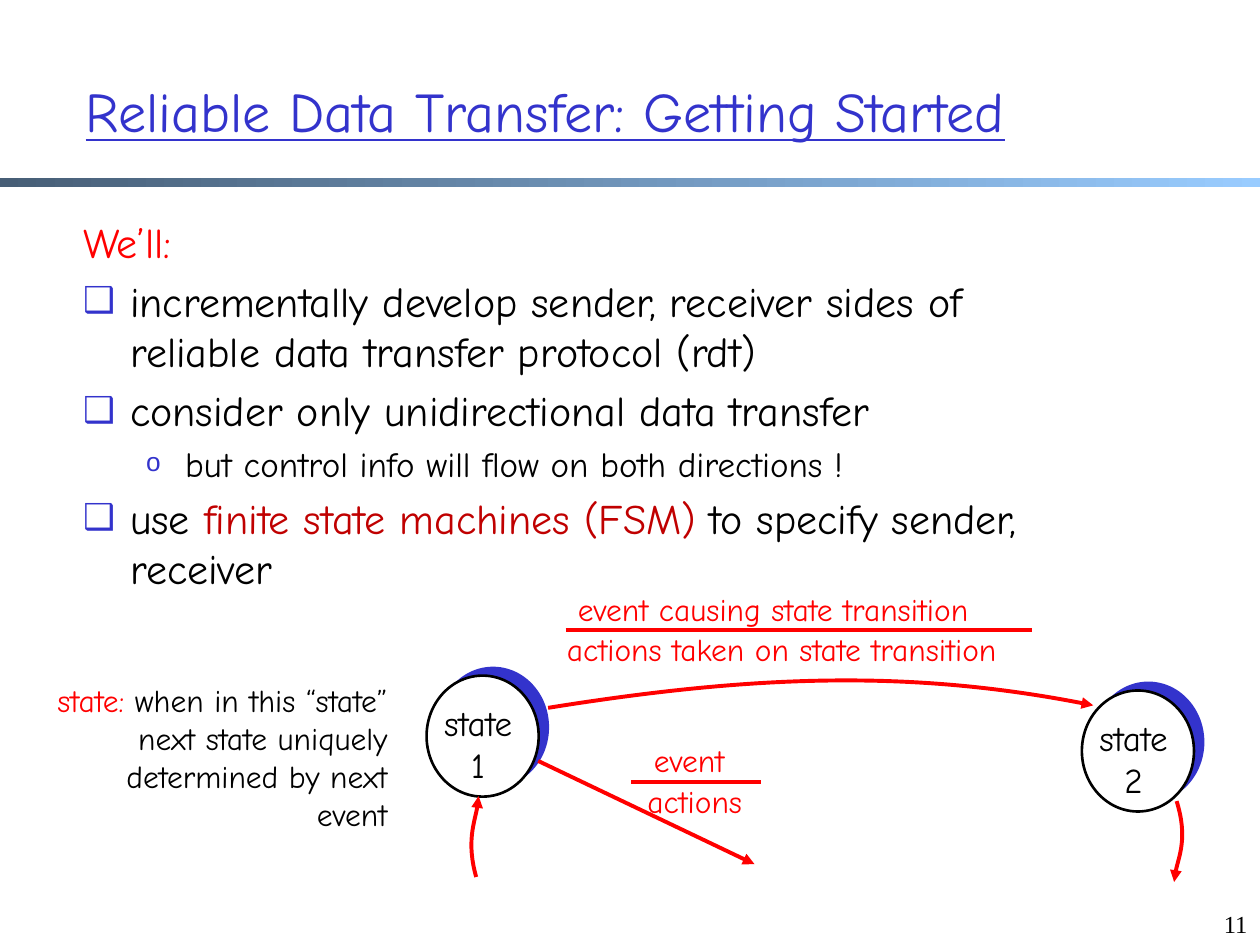
from lxml import etree
from pptx import Presentation
from pptx import util as u
from pptx.dml.color import RGBColor
from pptx.enum import shapes, text
from pptx.oxml import ns

BLUE = RGBColor(0x33, 0x33, 0xCC)
RED = RGBColor(0xFF, 0x00, 0x00)
DARK_RED = RGBColor(0xC0, 0x00, 0x00)
BLACK = RGBColor(0x00, 0x00, 0x00)
WHITE = RGBColor(0xFF, 0xFF, 0xFF)
BAR_START = RGBColor(0x47, 0x5E, 0x76)
BAR_END = RGBColor(0x99, 0xCC, 0xFF)


def cm(*values):
    return [u.Cm(value) for value in values]


class SlideBuilder:
    font = "Comic Neue"
    line_width = u.Pt(2.25)

    def __init__(self, slide):
        self.slide = slide

    def add_runs(self, paragraph, runs, size, font=None, underline=None):
        for words, color in runs:
            run = paragraph.add_run()
            run.text = words
            run.font.name = font or self.font
            run.font.size = u.Pt(size)
            run.font.color.rgb = color
            run.font.underline = underline

    def indent(self, paragraph, left, hanging):
        properties = paragraph._p.get_or_add_pPr()
        properties.set("marL", str(u.Cm(left)))
        properties.set("indent", str(-u.Cm(hanging)))
        return properties

    def bullet(self, properties, character, percent):
        if not character:
            etree.SubElement(properties, ns.qn("a:buNone"))
            return
        color = etree.SubElement(properties, ns.qn("a:buClr"))
        etree.SubElement(color, ns.qn("a:srgbClr"), val=str(BLUE))
        etree.SubElement(properties, ns.qn("a:buSzPct"), val=str(percent * 1000))
        etree.SubElement(properties, ns.qn("a:buChar"), char=character)

    def place(self, shape, box, anchor):
        shape.left, shape.top, shape.width, shape.height = cm(*box)
        frame = shape.text_frame
        frame.auto_size = text.MSO_AUTO_SIZE.NONE
        frame.vertical_anchor = anchor
        return frame

    def title(self, words, box):
        frame = self.place(self.slide.shapes.title, box, text.MSO_ANCHOR.MIDDLE)
        paragraph = frame.paragraphs[0]
        paragraph.alignment = text.PP_ALIGN.LEFT
        self.add_runs(paragraph, [(words, BLUE)], 32, underline=True)

    def body(self, items, box):
        frame = self.place(self.slide.placeholders[1], box, text.MSO_ANCHOR.TOP)
        # level: size, left margin, hanging indent, bullet scale
        styles = {0: (24, 0.95, 0.95, 85), 1: (20, 2.06, 0.79, 75)}
        for index, (level, character, runs) in enumerate(items):
            paragraph = frame.add_paragraph() if index else frame.paragraphs[0]
            size, left, hanging, percent = styles[level]
            paragraph.level = level
            paragraph.space_before = u.Pt(size * 0.2 if index else 0)
            self.bullet(self.indent(paragraph, left, hanging), character, percent)
            self.add_runs(paragraph, runs, size)

    def text_box(self, lines, box, size=18, align=text.PP_ALIGN.LEFT, wrap=False,
                 font=None, anchor=text.MSO_ANCHOR.TOP, parent=None):
        shape = (parent or self.slide).shapes.add_textbox(*cm(*box))
        frame = self.place(shape, box, anchor)
        frame.word_wrap = wrap
        for index, runs in enumerate(lines):
            paragraph = frame.add_paragraph() if index else frame.paragraphs[0]
            paragraph.alignment = align
            self.add_runs(paragraph, runs, size, font)
        return frame

    def gradient_bar(self, box):
        shape = self.slide.shapes.add_shape(shapes.MSO_SHAPE.RECTANGLE, *cm(*box))
        shape.shadow.inherit = False
        shape.line.fill.background()
        shape.fill.gradient()
        shape.fill.gradient_angle = 0
        for stop, color in zip(shape.fill.gradient_stops, (BAR_START, BAR_END)):
            stop.color.rgb = color

    def ellipse(self, parent, box, fill, line=None):
        shape = parent.shapes.add_shape(shapes.MSO_SHAPE.OVAL, *cm(*box))
        shape.shadow.inherit = False
        shape.fill.solid()
        shape.fill.fore_color.rgb = fill
        if line is None:
            shape.line.fill.background()
        else:
            shape.line.color.rgb = line
            shape.line.width = u.Pt(1.5)

    def state(self, number, left, top):
        group = self.slide.shapes.add_group_shape()
        width, height = 2.26, 2.44
        self.ellipse(group, (left, top, width, height), BLUE)
        self.ellipse(group, (left - 0.21, top + 0.18, width, height), WHITE, BLACK)
        self.text_box([[("state", BLACK)], [(number, BLACK)]],
                      (left - 0.3, top + 0.57, width, 1.96), 20,
                      text.PP_ALIGN.CENTER, parent=group)

    def stroke(self, shape, arrow):
        shape.line.color.rgb = RED
        shape.line.width = self.line_width
        if arrow:
            outline = shape._element.spPr.find(ns.qn("a:ln"))
            etree.SubElement(outline, ns.qn("a:tailEnd"), type="triangle")

    def line(self, start, end, arrow=False):
        connector = self.slide.shapes.add_connector(
            shapes.MSO_CONNECTOR.STRAIGHT, *cm(*start, *end))
        self.stroke(connector, arrow)
        etree.SubElement(connector._element.spPr, ns.qn("a:effectLst"))

    def curve(self, start, *points):
        builder = self.slide.shapes.build_freeform(*cm(*start), scale=1.0)
        builder.add_line_segments([cm(*point) for point in points], close=False)
        shape = builder.convert_to_shape()
        # Turn the three segments into one cubic curve
        path = shape._element.spPr.find(".//" + ns.qn("a:path"))
        segments = path.findall(ns.qn("a:lnTo"))
        cubic = etree.SubElement(path, ns.qn("a:cubicBezTo"))
        for segment in segments:
            cubic.append(segment[0])
            path.remove(segment)
        shape.shadow.inherit = False
        shape.fill.background()
        self.stroke(shape, arrow=True)

    def transition_label(self, event, actions, event_box, actions_box, start, end):
        self.text_box([[(event, RED)]], event_box)
        self.text_box([[(actions, RED)]], actions_box)
        self.line(start, end)


def main():
    presentation = Presentation()
    presentation.slide_width, presentation.slide_height = cm(25.4, 19.05)
    slide = presentation.slides.add_slide(presentation.slide_layouts[1])
    builder = SlideBuilder(slide)

    # Heading and page number
    builder.gradient_bar((0, 3.58, 25.4, 0.2))
    builder.title("Reliable Data Transfer: Getting Started", (1.47, 0.64, 21.59, 3.18))
    builder.text_box([[("11", BLACK)]], (19.48, 17.78, 5.92, 1.27), 14,
                     text.PP_ALIGN.RIGHT, True, "Times New Roman",
                     text.MSO_ANCHOR.BOTTOM)

    # Plan
    builder.body([
        (0, None, [("We’ll:", RED)]),
        (0, "❑", [("incrementally develop sender, receiver sides of reliable "
                   "data transfer protocol (rdt)", BLACK)]),
        (0, "❑", [("consider only unidirectional data transfer", BLACK)]),
        (1, "o", [("but control info will flow on both directions !", BLACK)]),
        (0, "❑", [("use ", BLACK), ("finite state machines (FSM)", DARK_RED),
                  (" to specify sender, receiver", BLACK)]),
    ], (1.42, 4.24, 20.17, 9.32))

    # States
    builder.state("1", 8.81, 13.44)
    builder.state("2", 22.02, 13.74)
    note = builder.text_box(
        [[("state:", RED), (" when in this “state” next state uniquely "
                            "determined by next event", BLACK)]],
        (0.36, 13.61, 7.7, 3.43), align=text.PP_ALIGN.RIGHT, wrap=True)
    builder.indent(note.paragraphs[0], 0.97, 0.97)

    # Transitions
    builder.curve((11.05, 14.27), (15.16, 13.61), (18.44, 13.49), (22.04, 14.22))
    builder.curve((9.6, 17.68), (9.4, 16.97), (9.65, 16.31), (9.65, 16.05))
    builder.curve((23.72, 16.15), (23.95, 16.89), (23.67, 17.53), (23.67, 17.78))
    builder.line((10.85, 15.34), (15.21, 17.42), arrow=True)
    builder.transition_label(
        "event causing state transition", "actions taken on state transition",
        (11.4, 11.76, 9.32, 1.02), (11.18, 12.57, 10.16, 1.02),
        (11.4, 12.7), (20.8, 12.7))
    builder.transition_label(
        "event", "actions", (12.93, 14.81, 2.16, 1.02), (12.8, 15.65, 2.62, 1.02),
        (12.73, 15.77), (15.34, 15.77))

    presentation.save("out.pptx")


if __name__ == "__main__":
    main()
